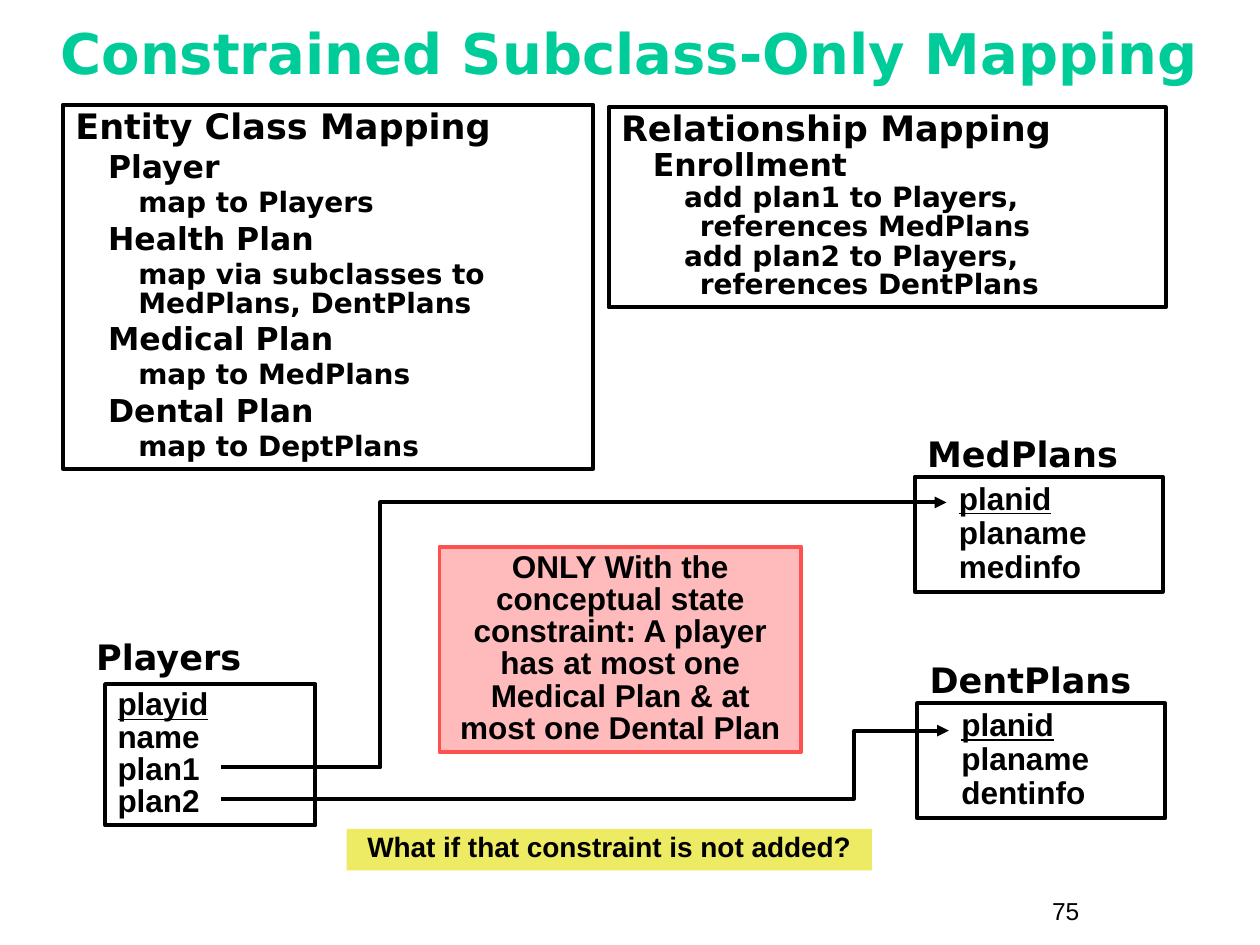
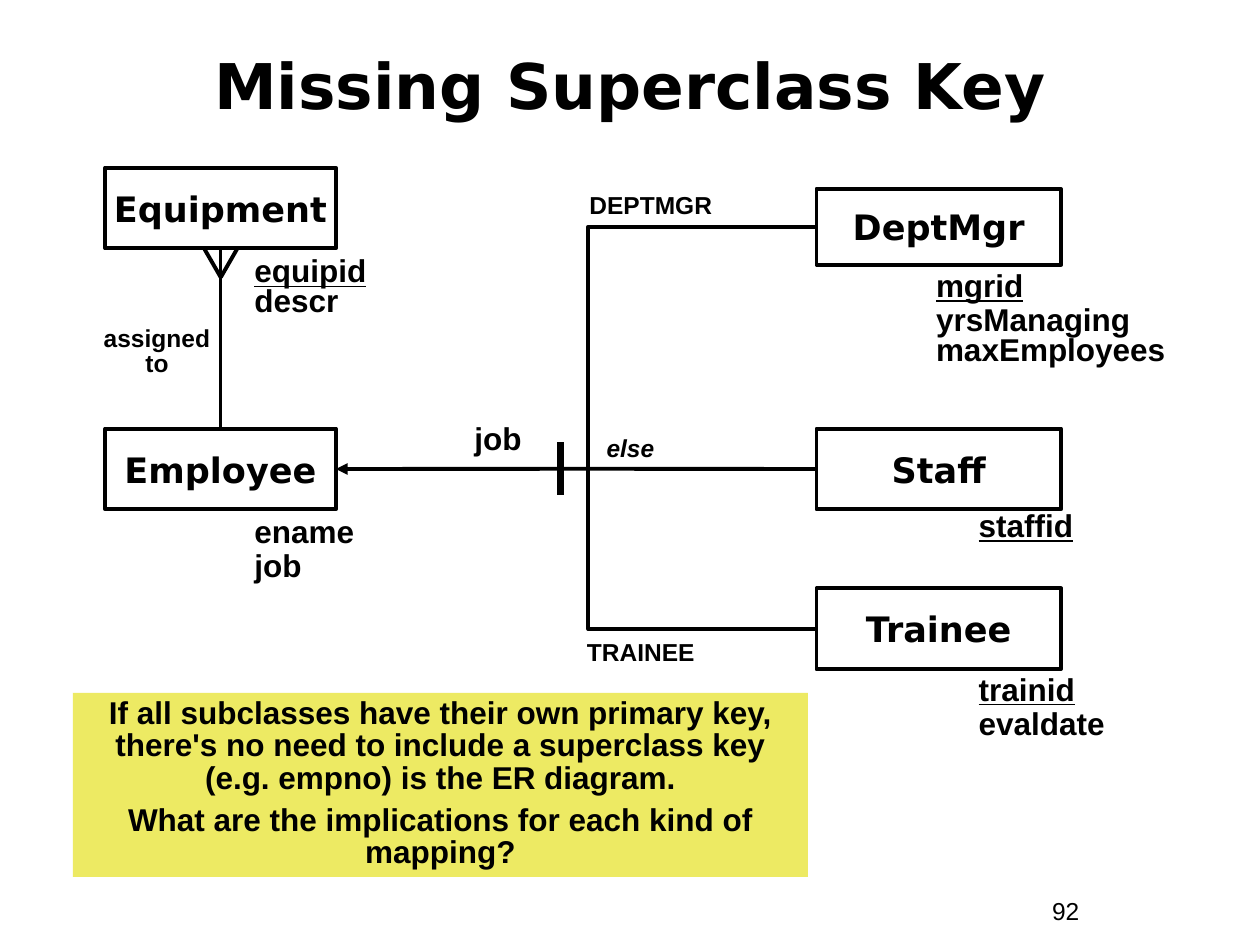
"""Build two slides on mapping entity subclasses to tables."""
import pptx
import pptx.dml.color
import pptx.enum.shapes
import pptx.enum.text
import pptx.oxml
import pptx.oxml.ns
import pptx.util

Cm = pptx.util.Cm
Pt = pptx.util.Pt
RGBColor = pptx.dml.color.RGBColor
Align = pptx.enum.text.PP_ALIGN
Anchor = pptx.enum.text.MSO_ANCHOR
Connector = pptx.enum.shapes.MSO_CONNECTOR

BLACK = RGBColor(0x00, 0x00, 0x00)
GREEN = RGBColor(0x00, 0xCC, 0x99)
RED = RGBColor(0xFF, 0x50, 0x50)
PINK = RGBColor(0xFF, 0xBB, 0xBB)
YELLOW = RGBColor(0xED, 0xEA, 0x63)
BODY_FONT = "Arial"
HEAD_FONT = "DejaVu Sans"
TOP, LEFT, BOTTOM, RIGHT = range(4)


def write(frame, text, font=BODY_FONT, size=18, bold=True, italic=False, color=BLACK,
          key=False, align=Align.LEFT, spacing=1.0, before=0, level=0, margin=0, indent=0):
    """Add one paragraph; key underlines its first line."""
    first = not frame.paragraphs[0].runs
    para = frame.paragraphs[0] if first else frame.add_paragraph()
    para.alignment, para.line_spacing, para.level = align, spacing, level
    para.space_before = Pt(0 if first else before)
    properties = para._p.get_or_add_pPr()
    properties.set("marL", str(Cm(margin)))
    properties.set("indent", str(Cm(indent)))
    for number, line in enumerate(text.split("\n")):
        if number:
            para.add_line_break()
        span = para.add_run()
        span.text = line
        span.font.name, span.font.size = font, Pt(size)
        span.font.bold, span.font.italic = bold, italic
        span.font.underline = key and number == 0
        span.font.color.rgb = color


class Deck:
    """Hold the presentation, its style and the current page."""

    def __init__(self):
        self.show = pptx.Presentation()
        self.show.slide_width, self.show.slide_height = Cm(25.4), Cm(19.05)
        self.page = None

    def new_page(self, title, number, top, height, size, color):
        """Start a page with its title and page number."""
        self.page = self.show.slides.add_slide(self.show.slide_layouts[6])
        frame = self.text(0.85, top, 23.7, height, title, font=HEAD_FONT, size=size,
                          color=color, align=Align.CENTER)
        frame.vertical_anchor = Anchor.MIDDLE
        self.text(20.96, 17.93, 2.34, 0.86, str(number), size=14, bold=False)

    def text(self, left, top, width, height, text, **style):
        """Add a wrapping text box."""
        box = self.page.shapes.add_textbox(Cm(left), Cm(top), Cm(width), Cm(height))
        box.text_frame.word_wrap = True
        write(box.text_frame, text, **style)
        return box.text_frame

    def box(self, left, top, width, height, fill=None, line=BLACK):
        """Add a rectangle with text starting at its top."""
        box = self.page.shapes.add_shape(pptx.enum.shapes.MSO_SHAPE.RECTANGLE,
                                         Cm(left), Cm(top), Cm(width), Cm(height))
        box.shadow.inherit = False
        if fill is None:
            box.fill.background()
        else:
            box.fill.solid()
            box.fill.fore_color.rgb = fill
        if line is None:
            box.line.fill.background()
        else:
            box.line.color.rgb, box.line.width = line, Pt(2.25)
        box.text_frame.word_wrap = True
        box.text_frame.vertical_anchor = Anchor.TOP
        return box

    def entity(self, left, top, width, height, name):
        """Add an entity class with its name in the middle."""
        box = self.box(left, top, width, height)
        box.text_frame.word_wrap = False
        box.text_frame.vertical_anchor = Anchor.MIDDLE
        write(box.text_frame, name, font=HEAD_FONT, size=20, align=Align.CENTER)
        return box

    def caption(self, left, top, name):
        """Add the name above a table."""
        self.text(left, top, 5.46, 1.12, name, font=HEAD_FONT, size=20)

    def attributes(self, left, top, width, height, text, **style):
        """Add a list of attributes."""
        return self.text(left, top, width, height, text, spacing=0.9, **style)

    def label(self, left, top, width, height, text, size=14, spacing=0.8, **style):
        """Add a centred label beside a line."""
        self.text(left, top, width, height, text, size=size, spacing=spacing,
                  align=Align.CENTER, **style)

    def note(self, left, top, width, height, *texts, fill=YELLOW, line=None, size=18):
        """Add a coloured note with centred paragraphs."""
        box = self.box(left, top, width, height, fill, line)
        for text in texts:
            write(box.text_frame, text, size=size, align=Align.CENTER, spacing=0.85, before=5.6)

    def line(self, start, end, kind=Connector.STRAIGHT, width=2.25, arrow=False):
        """Add a connector, with an arrowhead at its end if wanted."""
        connector = self.page.shapes.add_connector(kind, *map(Cm, start + end))
        connector.line.color.rgb, connector.line.width = BLACK, Pt(width)
        properties = connector._element.spPr
        if arrow:
            head = pptx.oxml.parse_xml(
                f'<a:tailEnd {pptx.oxml.ns.nsdecls("a")} type="triangle"/>')
            properties.find(pptx.oxml.ns.qn("a:ln")).append(head)
        properties.append(pptx.oxml.parse_xml(f'<a:effectLst {pptx.oxml.ns.nsdecls("a")}/>'))
        return connector

    def elbow(self, start, end, bend, arrow=False):
        """Add an elbow that turns at the given share of its width."""
        connector = self.line(start, end, Connector.ELBOW, arrow=arrow)
        geometry = connector._element.spPr.find(pptx.oxml.ns.qn("a:prstGeom"))
        for child in list(geometry):
            geometry.remove(child)
        geometry.append(pptx.oxml.parse_xml(
            f'<a:avLst {pptx.oxml.ns.nsdecls("a")}>'
            f'<a:gd name="adj1" fmla="val {round(bend * 100000)}"/></a:avLst>'))


def build_mapping(deck):
    """Build the page on subclass-only mapping."""
    deck.new_page("Constrained Subclass-Only Mapping", 75, 0.21, 1.69, 32, GREEN)

    deck.caption(1.69, 12.68, "Players")
    players = deck.box(2.12, 13.79, 4.24, 2.85)
    for text in ("playid\nname", "plan1", "plan2"):
        write(players.text_frame, text, spacing=0.85, key=text.startswith("playid"))

    for left, top, name, detail in ((18.44, 8.59, "MedPlans", "medinfo"),
                                    (18.49, 13.16, "DentPlans", "dentinfo")):
        deck.caption(left, top, name)
        table = deck.box(left, top + 1.02, 5, 2.32)
        for text in ("planid", "planame", detail):
            write(table.text_frame, text, spacing=0.9, margin=0.64, key=text == "planid")
    deck.elbow((4.45, 15.47), (19.08, 10.13), 0.22, arrow=True)
    deck.elbow((4.45, 16.1), (19.13, 14.73), 0.87, arrow=True)

    deck.note(8.86, 11.02, 7.29, 4.14,
              "ONLY With the conceptual state constraint: A player has at most one "
              "Medical Plan & at most one Dental Plan", fill=PINK, line=RED)

    relationships = (
        (0, "Relationship Mapping"),
        (1, "Enrollment"),
        (2, "add plan1 to Players, references MedPlans"),
        (2, "add plan2 to Players,\nreferences DentPlans"),
    )
    entities = (
        (0, "Entity Class Mapping"),
        (1, "Player"),
        (2, "map to Players"),
        (1, "Health Plan"),
        (2, "map via subclasses to MedPlans, DentPlans"),
        (1, "Medical Plan"),
        (2, "map to MedPlans"),
        (1, "Dental Plan"),
        (2, "map to DeptPlans"),
    )
    outlines = (
        ((12.27, 2.16, 11.23, 4.04), relationships, (0, 0.64, 1.59), -0.32, (0, 1.1, 1)),
        ((1.27, 2.11, 10.69, 7.34), entities, (0, 0.66, 1.27), 0, (0, 3.4, 3)),
    )
    for place, items, margins, hanging, gaps in outlines:
        outline = deck.box(*place)
        for level, text in items:
            write(outline.text_frame, text, font=HEAD_FONT, size=20 - 2 * level, level=level,
                  margin=margins[level], indent=hanging if level == 2 else 0,
                  before=gaps[level], spacing=0.85)

    deck.note(6.99, 16.71, 10.59, 0.84, "What if that constraint is not added?", size=16)


def build_missing_key(deck):
    """Build the page on the missing superclass key."""
    deck.new_page("Missing Superclass Key", 92, 0.64, 2.12, 36, BLACK)

    equipment = deck.entity(2.12, 3.38, 4.65, 1.63, "Equipment")
    employee = deck.entity(2.12, 8.64, 4.65, 1.63, "Employee")
    deck.entity(16.46, 3.81, 4.93, 1.53, "DeptMgr")
    staff = deck.entity(16.46, 8.64, 4.93, 1.63, "Staff")
    deck.entity(16.46, 11.86, 4.93, 1.63, "Trainee")

    fork = (11.86, 9.45)
    for middle in (4.57, 12.68):
        deck.elbow(fork, (16.46, middle), 0)
    deck.line(fork, (6.77, 9.45), arrow=True).end_connect(employee, RIGHT)
    deck.line(fork, (16.46, 9.45)).end_connect(staff, LEFT)
    deck.line((11.3, 8.92), (11.3, 9.98), width=4.5)

    assignment = deck.line((4.45, 8.64), (4.45, 5.01))
    assignment.begin_connect(employee, TOP)
    assignment.end_connect(equipment, BOTTOM)
    for side in (-0.34, 0.34):
        deck.line((4.45, 5.59), (4.45 + side, 5))

    deck.label(9.09, 8.46, 1.9, 0.86, "job", size=18)
    deck.label(11.43, 3.81, 3.38, 0.74, "DEPTMGR")
    deck.label(11.23, 12.83, 3.38, 0.74, "TRAINEE")
    deck.label(11.02, 8.71, 3.38, 0.74, "else", italic=True)
    deck.label(1.68, 6.48, 2.97, 1.27, "assigned\nto", spacing=0.85)

    frame = deck.attributes(4.88, 5.03, 3.61, 1.52, "equipid", key=True)
    write(frame, "descr", spacing=0.75)
    frame = deck.attributes(18.62, 5.33, 5.51, 2.21, "mgrid\nyrsManaging", key=True)
    write(frame, "maxEmployees", spacing=0.75)
    deck.attributes(4.88, 10.29, 2.74, 1.63, "ename\njob")
    deck.attributes(19.48, 10.16, 3.81, 0.94, "staffid", key=True)
    deck.attributes(19.48, 13.46, 3.81, 1.63, "trainid\nevaldate", key=True)

    deck.note(1.47, 13.97, 14.82, 3.71,
              "If all subclasses have their own primary key, there's no need to include "
              "a superclass key (e.g. empno) is the ER diagram.",
              "What are the implications for each kind of mapping?")


def main():
    """Build and save the deck."""
    deck = Deck()
    build_mapping(deck)
    build_missing_key(deck)
    deck.show.save("out.pptx")


if __name__ == "__main__":
    main()
